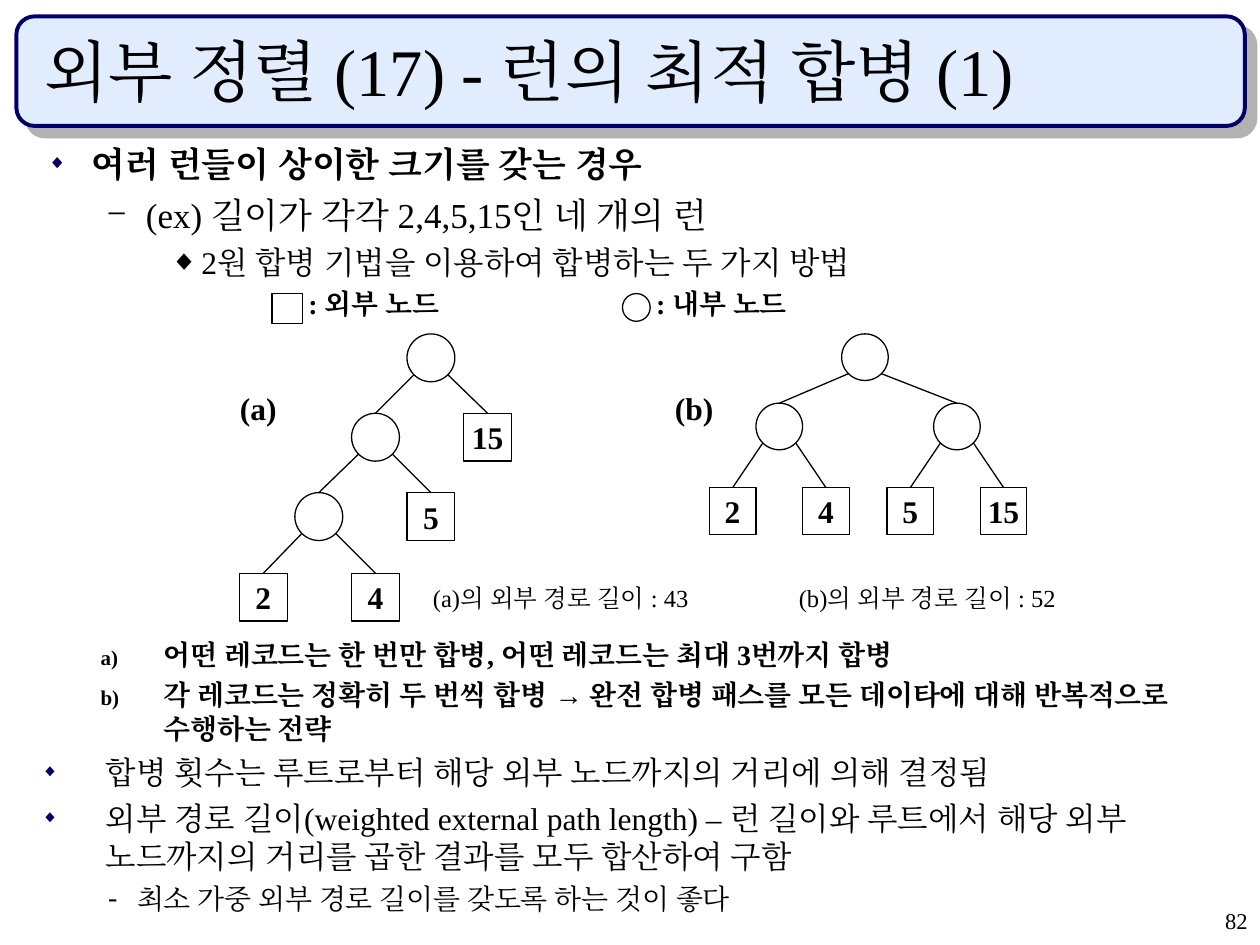
import math
import pptx
import pptx.util
import pptx.dml.color
import pptx.enum.shapes
import pptx.enum.text
import pptx.oxml
import pptx.oxml.ns
from lxml import etree

Inches, Pt = pptx.util.Inches, pptx.util.Pt
RGBColor = pptx.dml.color.RGBColor
SHAPE = pptx.enum.shapes.MSO_SHAPE
ALIGN = pptx.enum.text.PP_ALIGN
ANCHOR = pptx.enum.text.MSO_ANCHOR
qn = pptx.oxml.ns.qn

BLACK = RGBColor(0x00, 0x00, 0x00)
NAVY = RGBColor(0x00, 0x00, 0x66)
PALE_BLUE = RGBColor(0xE1, 0xEC, 0xFF)
SHADOW_GREY = RGBColor(0xB2, 0xB2, 0xB2)
FONT = "Times New Roman"

# Content
TITLE = "외부 정렬 (17) - 런의 최적 합병 (1)"
PAGE_NUMBER = "82"

# Bullet kinds: character (None numbers a, b, ...), colour, size in percent
DIAMOND = ("◆", NAVY, 55)
DASH = ("−", BLACK, 100)
BLACK_DIAMOND = ("◆", BLACK, 90)
LETTER = (None, BLACK, 75)
HYPHEN = ("-", BLACK, 100)

# Outline: level, margin, indent, space before, bullet, size, bold, runs
INTRO = [
    (0, 0.38, -0.35, 0, DIAMOND, 20, True, ["여러 런들이 상이한 크기를 갖는 경우"]),
    (1, 0.81, -0.31, 5, DASH, 20, False, ["(ex) 길이가 각각 2,4,5,15인 네 개의 런"]),
    (2, 1.25, -0.25, 4.5, BLACK_DIAMOND, 18, False,
     ["2원 합병 기법을 이용하여 합병하는 두 가지 방법"]),
]
CONCLUSIONS = [
    (1, 1, -0.5, 0, LETTER, 16, True,
     ["어떤 레코드는 한 번만 합병, 어떤 레코드는 최대 3번까지 합병"]),
    (1, 1, -0.5, 4, LETTER, 16, True,
     ["각 레코드는 정확히 두 번씩 합병 ", "→",
      " 완전 합병 패스를 모든 데이타에 대해 반복적으로 수행하는 전략"]),
    (0, 0.54, -0.51, 4.5, DIAMOND, 18, False,
     ["합병 횟수는 루트로부터 해당 외부 노드까지의 거리에 의해 결정됨"]),
    (0, 0.54, -0.51, 4.5, DIAMOND, 18, False,
     ["외부 경로 길이(weighted external path length) – 런 길이와 루트에서 해당 외부 "
      "노드까지의 거리를 곱한 결과를 모두 합산하여 구함"]),
    (1, 0.79, -0.23, 4, HYPHEN, 16, False,
     ["최소 가중 외부 경로 길이를 갖도록 하는 것이 좋다"]),
]

# Legend: shape, left, size, text
LEGEND = [
    (SHAPE.RECTANGLE, 2.16, 0.24, ": 외부 노드"),
    (SHAPE.OVAL, 4.94, 0.22, ": 내부 노드"),
]

# Captions: centre x, centre y, width, size, bold, text
CAPTIONS = [
    (2.05, 3.24, 0.6, 18, True, "(a)"),
    (5.51, 3.24, 0.6, 18, True, "(b)"),
    (4.45, 4.74, 2.6, 14, False, "(a)의 외부 경로 길이 : 43"),
    (7.36, 4.74, 2.6, 14, False, "(b)의 외부 경로 길이 : 52"),
]

# Merge trees: node size, row tops, root; a node is (row, left, run length, children)
TREES = [
    (0.38, [2.65, 3.28, 3.91, 4.55],
     (0, 3.23, "", [
         (1, 2.79, "", [
             (2, 2.34, "", [(3, 1.9, "2", []), (3, 2.79, "4", [])]),
             (2, 3.23, "5", [])]),
         (1, 3.68, "15", [])])),
    (0.37, [2.65, 3.2, 3.87],
     (0, 6.68, "", [
         (1, 6.0, "", [(2, 5.63, "2", []), (2, 6.37, "4", [])]),
         (1, 7.41, "", [(2, 7.04, "5", []), (2, 7.78, "15", [])])])),
]

prs = pptx.Presentation()
prs.slide_width, prs.slide_height = Inches(10), Inches(7.5)
slide = prs.slides.add_slide(prs.slide_layouts[5])
shapes = slide.shapes


def add_run(paragraph, text, size, bold=False, font=FONT):
    run = paragraph.add_run()
    run.text = text
    run.font.name, run.font.size, run.font.bold = font, Pt(size), bold
    run.font.color.rgb = BLACK
    # Same face for Korean text, so that word spaces match
    etree.SubElement(run._r.get_or_add_rPr(), qn("a:ea"), typeface=font)


def add_box(left, top, width, height, wrap=True):
    frame = shapes.add_textbox(*map(Inches, (left, top, width, height))).text_frame
    frame.word_wrap = wrap
    return frame


def add_outline_shape(kind, left, top, width, height, line=BLACK, weight=0.75):
    shape = shapes.add_shape(kind, *map(Inches, (left, top, width, height)))
    shape.shadow.inherit = False
    shape.fill.background()
    shape.line.color.rgb, shape.line.width = line, Pt(weight)
    return shape


def add_bullet(paragraph, margin, indent, bullet):
    char, color, percent = bullet
    props = paragraph._p.get_or_add_pPr()
    props.set("marL", str(Inches(margin)))
    props.set("indent", str(Inches(indent)))
    bullet_color = etree.SubElement(props, qn("a:buClr"))
    etree.SubElement(bullet_color, qn("a:srgbClr"), val=str(color))
    etree.SubElement(props, qn("a:buSzPct"), val=str(percent * 1000))
    if char:
        etree.SubElement(props, qn("a:buFont"), typeface=FONT)
        etree.SubElement(props, qn("a:buChar"), char=char)
    else:
        etree.SubElement(props, qn("a:buAutoNum"), type="alphaLcParenR")


def add_outline(frame, items):
    for i, (level, margin, indent, before, bullet, size, bold, runs) in enumerate(items):
        paragraph = frame.add_paragraph() if i else frame.paragraphs[0]
        add_bullet(paragraph, margin, indent, bullet)
        paragraph.level = level
        paragraph.space_before = Pt(before)
        for text in runs:
            add_run(paragraph, text, size, bold, "Arial" if text == "→" else FONT)


def add_edge(x1, y1, x2, y2):
    edge = shapes.add_connector(pptx.enum.shapes.MSO_CONNECTOR.STRAIGHT,
                                *map(Inches, (x1, y1, x2, y2)))
    edge.line.color.rgb, edge.line.width = BLACK, Pt(0.75)
    etree.SubElement(edge._element.spPr, qn("a:effectLst"))


def add_tree(node, size, rows):
    row, left, run_length, children = node
    top, half = rows[row], size / 2
    kind = SHAPE.OVAL if children else SHAPE.RECTANGLE
    shape = add_outline_shape(kind, left, top, size, size)
    if run_length:
        frame = shape.text_frame
        frame.word_wrap, frame.vertical_anchor = False, ANCHOR.MIDDLE
        frame.paragraphs[0].alignment = ALIGN.CENTER
        add_run(frame.paragraphs[0], run_length, 18, True)
    # Edges leave the circle at 45 degrees and reach the child's top centre
    reach = half * math.sqrt(0.5)
    for side, child in zip((-1, 1), children):
        add_edge(left + half + side * reach, top + half + reach,
                 child[1] + half, rows[child[0]])
        add_tree(child, size, rows)


# Title banner, behind the title
banner = add_outline_shape(SHAPE.ROUNDED_RECTANGLE, 0.13, 0.13, 9.75, 0.87, NAVY, 2.25)
banner.fill.solid()
banner.fill.fore_color.rgb = PALE_BLUE
shadow = etree.SubElement(banner._element.spPr.find(qn("a:effectLst")), qn("a:outerShdw"),
                          dist=str(Pt(8.5)), dir=str(45 * 60000), algn="ctr", rotWithShape="0")
etree.SubElement(shadow, qn("a:srgbClr"), val=str(SHADOW_GREY))
shapes._spTree.insert(2, banner._element)

# Title
title = shapes.title
title.left, title.top, title.width, title.height = map(Inches, (0.25, 0.25, 9.42, 0.67))
title.text_frame.auto_size = pptx.enum.text.MSO_AUTO_SIZE.NONE
title.text_frame.vertical_anchor = ANCHOR.BOTTOM
title.text_frame.paragraphs[0].alignment = ALIGN.LEFT
add_run(title.text_frame.paragraphs[0], TITLE, 38)

# Outlines above and below the trees
add_outline(add_box(0.25, 1.08, 9.75, 1.25), INTRO)
add_outline(add_box(0.2, 5.01, 9.55, 1.97), CONCLUSIONS)

# Legend
for kind, left, size, text in LEGEND:
    add_outline_shape(kind, left, 2.33, size, size)
    label = add_box(left + size - 0.05, 2.25, 1.4, 0.32)
    label.vertical_anchor = ANCHOR.MIDDLE
    add_run(label.paragraphs[0], text, 16, True)

# Merge trees
for size, rows, root in TREES:
    add_tree(root, size, rows)

# Captions
for x, y, width, size, bold, text in CAPTIONS:
    caption = add_box(x - width / 2, y - 0.15, width, 0.3, wrap=False)
    caption.vertical_anchor = ANCHOR.MIDDLE
    caption.paragraphs[0].alignment = ALIGN.CENTER
    add_run(caption.paragraphs[0], text, size, bold)

# Page number
page = add_box(7.92, 7.17, 2.08, 0.33).paragraphs[0]
page.alignment, page.line_spacing = ALIGN.RIGHT, 0.9
add_run(page, PAGE_NUMBER, 12.9)

prs.save("out.pptx")
